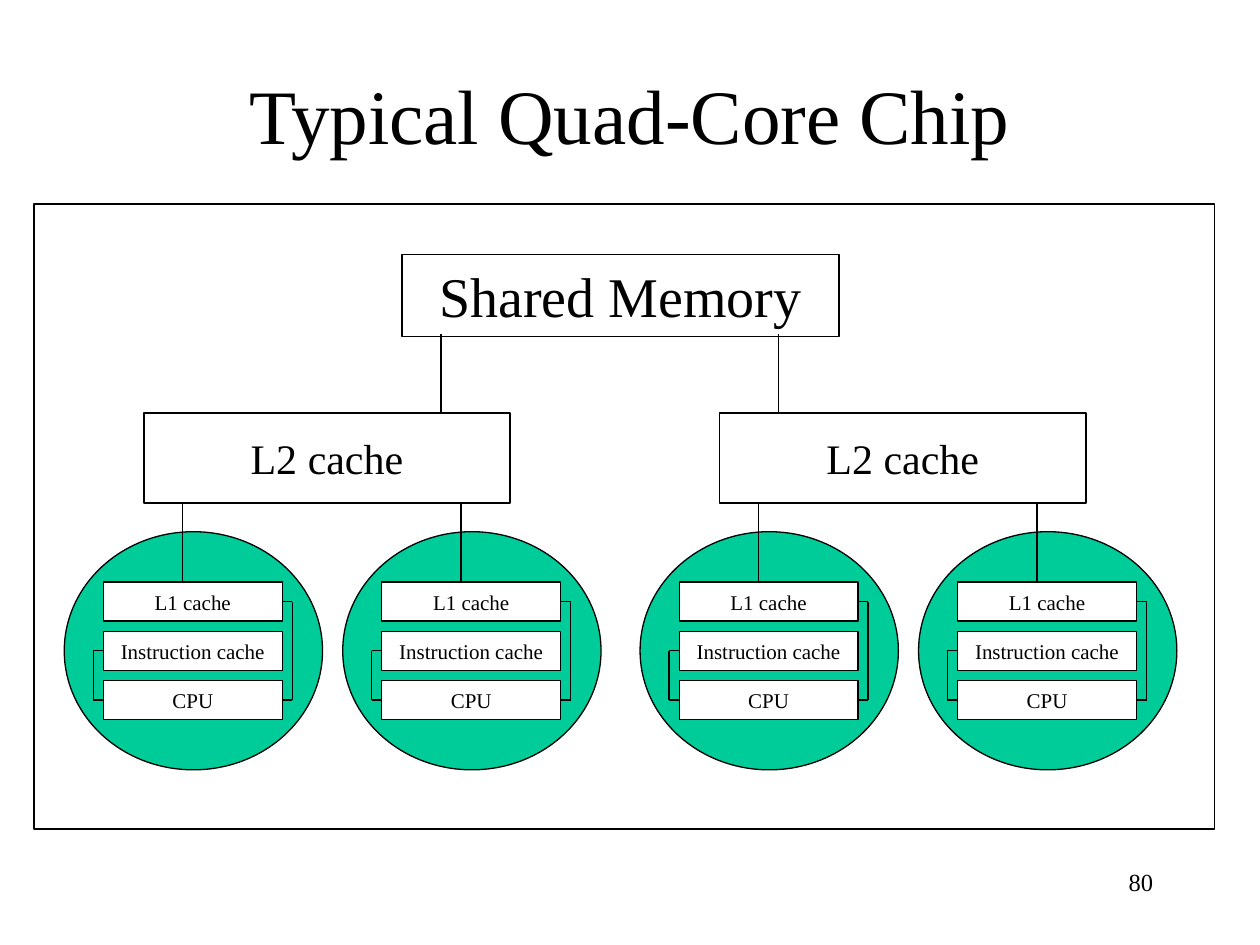
"""Build the slide of a typical quad-core chip and its cache levels."""
from lxml.etree import SubElement
from pptx import Presentation
from pptx.dml.color import RGBColor as Rgb
from pptx.enum.shapes import MSO_CONNECTOR as Link, MSO_SHAPE as Kind
from pptx.enum.text import MSO_ANCHOR as Anchor, PP_ALIGN as Align
from pptx.oxml.ns import qn
from pptx.util import Inches, Pt

HUES = {name: Rgb.from_string(code) for name, code in
        {"ink": "000000", "paper": "FFFFFF", "core": "00CC99"}.items()}

deck = Presentation()
deck.slide_width, deck.slide_height = Inches(10), Inches(7.5)
slide = deck.slides.add_slide(deck.slide_layouts[6])
shapes = slide.shapes


def block(x, y, w, h, text="", size=12, kind=Kind.RECTANGLE, fill="paper", line=0.75):
    shape = shapes.add_shape(kind, Inches(x), Inches(y), Inches(w), Inches(h))
    shape.shadow.inherit = False
    if fill:
        shape.fill.solid()
        shape.fill.fore_color.rgb = HUES[fill]
    else:
        shape.fill.background()
    shape.line.color.rgb = HUES["ink"]
    shape.line.width = Pt(line)
    if text:
        frame = shape.text_frame
        frame.margin_top = frame.margin_bottom = 0
        frame.vertical_anchor = Anchor.MIDDLE
        para = frame.paragraphs[0]
        para.text, para.alignment = text, Align.CENTER
        para.font.size, para.font.name = Pt(size), "Times New Roman"
        para.font.color.rgb = HUES["ink"]
    return shape


def wire(x1, y1, x2, y2):
    link = shapes.add_connector(Link.STRAIGHT, Inches(x1), Inches(y1), Inches(x2), Inches(y2))
    link.line.color.rgb = HUES["ink"]
    link.line.width = Pt(0.75)
    SubElement(link._element.spPr, qn("a:effectLst"))
    return link


for text, x, y, w, h, size, align, anchor in (
        ("80", 7.17, 6.83, 2.08, 0.5, 14, Align.RIGHT, Anchor.TOP),
        ("Typical Quad-Core Chip", 0.75, 0.28, 8.5, 1.25, 44, Align.CENTER, Anchor.MIDDLE)):
    frame = shapes.add_textbox(Inches(x), Inches(y), Inches(w), Inches(h)).text_frame
    frame.word_wrap = True
    frame.vertical_anchor = anchor
    para = frame.paragraphs[0]
    para.text, para.alignment = text, align
    para.font.size, para.font.name = Pt(size), "Times New Roman"
    para.font.color.rgb = HUES["ink"]

wide, high, step, gap = 1.42, 0.31, 0.39, 0.08
for left in (0.51, 5.08):
    for core in (left, left + 2.21):
        block(core, 4.22, 2.05, 1.89, kind=Kind.OVAL, fill="core")
        x = core + 0.31
        parts = [block(x, 4.62 + step * row, wide, high, text)
                 for row, text in enumerate(("L1 cache", "Instruction cache", "CPU"))]
        low = 4.62 + step * 2 + high / 2
        for row, edge, rail, site in ((1, x, x - gap, 1), (0, x + wide, x + wide + gap, 3)):
            mid = 4.62 + step * row + high / 2
            wire(edge, mid, rail, mid).begin_connect(parts[row], site)
            wire(rail, mid, rail, low)
            wire(rail, low, edge, low).end_connect(parts[2], site)
        wire(core + 0.94, 4.62, core + 0.94, 3.99)
    block(left + 0.63, 3.28, 2.91, 0.71, "L2 cache", 24, line=1)

block(3.19, 2.02, 3.47, 0.65, "Shared Memory", 32, line=1)
for x in (3.5, 6.18):
    wire(x, 3.28, x, 2.65)
block(0.27, 1.62, 9.37, 4.96, fill=None)

deck.save("out.pptx")
